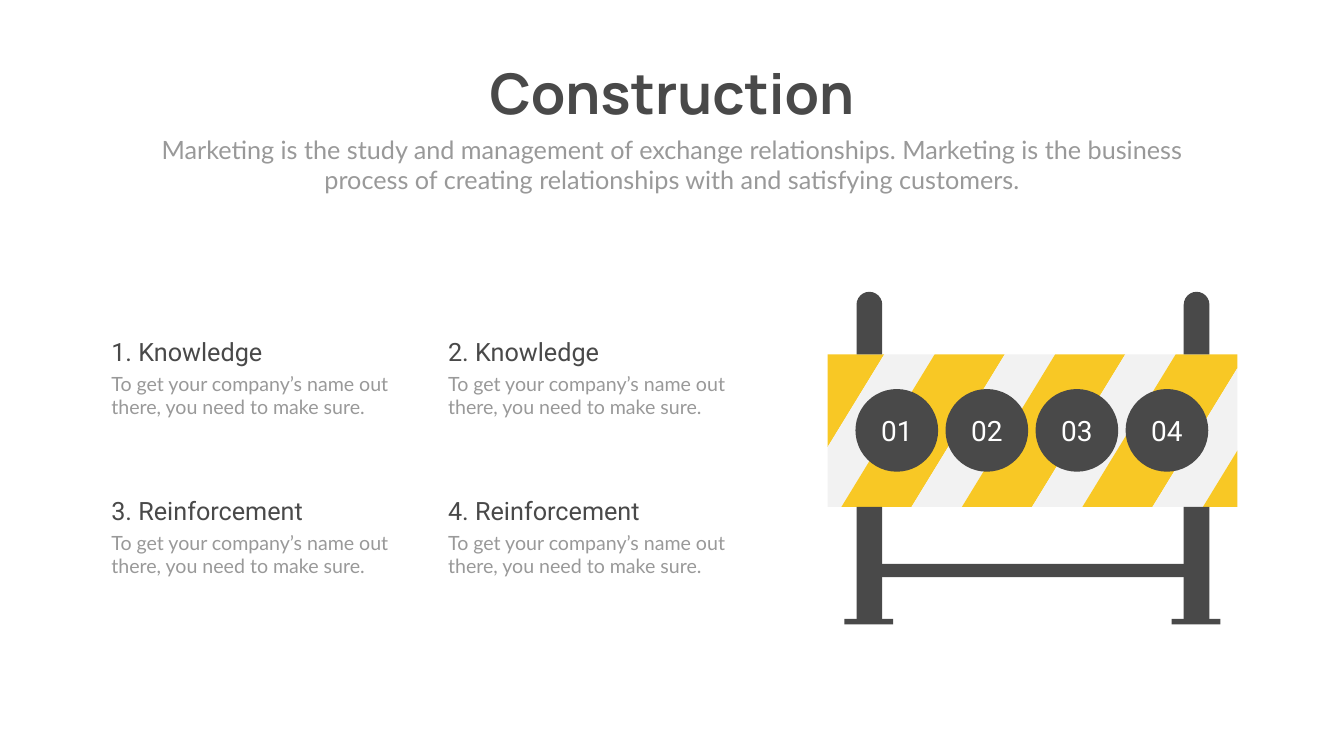
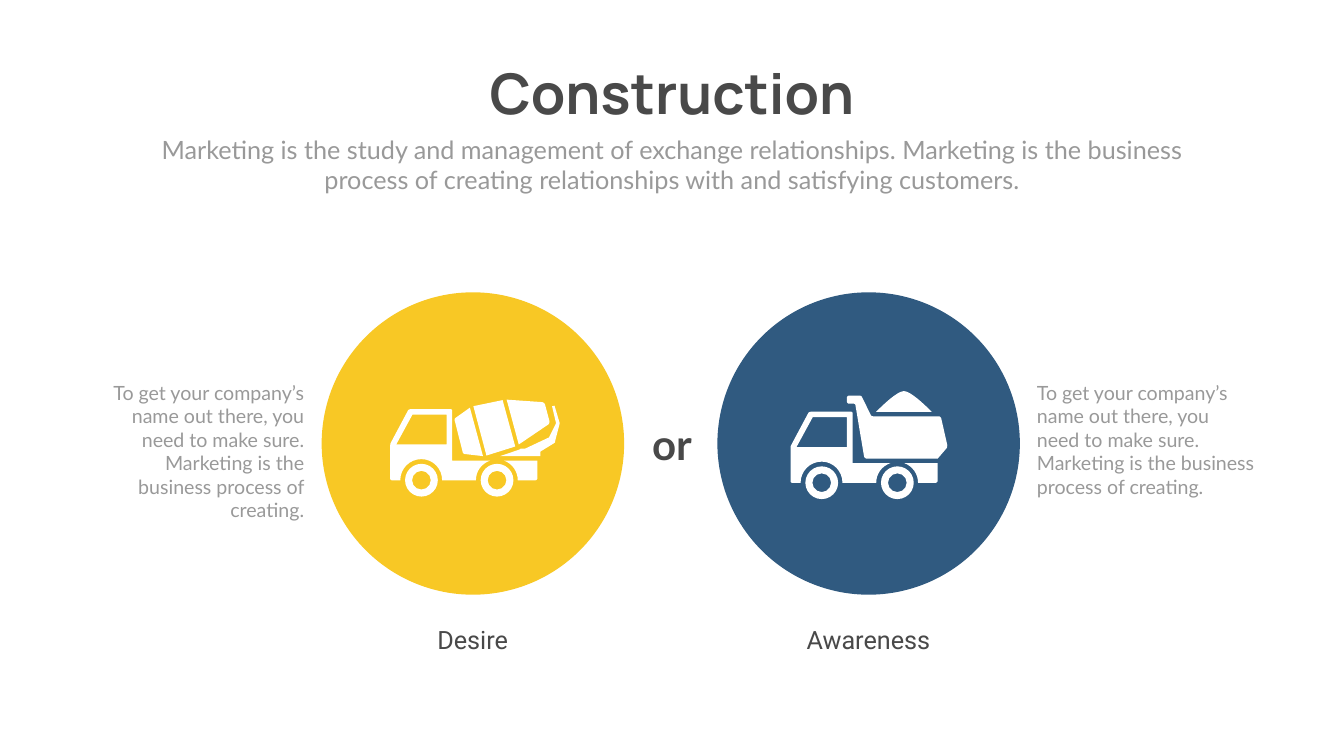
from dataclasses import dataclass

from pptx import Presentation
from pptx.dml.color import RGBColor
from pptx.enum.shapes import MSO_SHAPE
from pptx.enum.text import MSO_ANCHOR, MSO_AUTO_SIZE, PP_ALIGN
from pptx.util import Pt

LEFT, CENTER, RIGHT = PP_ALIGN.LEFT, PP_ALIGN.CENTER, PP_ALIGN.RIGHT
MIDDLE = MSO_ANCHOR.MIDDLE
FIT_TEXT = MSO_AUTO_SIZE.SHAPE_TO_FIT_TEXT
RECTANGLE, ELLIPSE, DONUT = MSO_SHAPE.RECTANGLE, MSO_SHAPE.OVAL, MSO_SHAPE.DONUT
ROUND_TOP = MSO_SHAPE.ROUND_2_SAME_RECTANGLE


@dataclass(frozen=True)
class Style:
    font: str
    size: int
    color: str
    bold: bool = False


@dataclass(frozen=True)
class Theme:
    dark: str = "494949"
    yellow: str = "F8C825"
    blue: str = "305A80"
    light: str = "F2F2F2"
    white: str = "FFFFFF"
    title: Style = Style("Manrope", 80, "494949", True)
    subtitle: Style = Style("Lato", 36, "999999")
    heading: Style = Style("Roboto", 36, "494949")
    body: Style = Style("Lato", 28, "999999")
    number: Style = Style("Roboto", 40, "FFFFFF")
    joiner: Style = Style("Lato", 60, "494949", True)


THEME = Theme()
SLIDE_WIDTH, SLIDE_HEIGHT = 1919.52, 1080

# Content
TITLE = "Construction"
SUBTITLE = ("Marketing is the study and management of exchange relationships. "
            "Marketing is the business process of creating relationships with "
            "and satisfying customers.")
CARD_TEXT = "To get your company’s name out there, you need to make sure."
CARDS = [  # heading, heading width
    ("1. Knowledge", 234.7), ("2. Knowledge", 234.7),
    ("3. Reinforcement", 346.3), ("4. Reinforcement", 355),
]
NUMBERS = ["01", "02", "03", "04"]
CHOICE_TEXT = CARD_TEXT + " Marketing is the business process of creating."
JOINER = "or"

# Truck outlines, relative to the top left corner of the cab.
# A pair is a straight step, six numbers are a cubic curve.
CAB = [
    (142.6, 73.4), (88.6, 73.4), (88.6, 2.2), (88.6, 0.7, 87.8, 0, 86.4, 0),
    (29.5, 0), (27.4, 0, 25.9, 0.7, 25.2, 2.2), (0.7, 48.2),
    (0, 49.7, 0, 51.8, 0, 53.3), (0, 98.6), (0, 100.1, 0.7, 101.5, 2.2, 101.5),
    (14.4, 101.5), (14.4, 85, 27.4, 71.3, 44.6, 71.3),
    (61.2, 71.3, 74.2, 85, 74.2, 101.5), (122.4, 101.5),
    (122.4, 88.6, 130.3, 77.8, 142.6, 73.4),
]
CAB_WINDOW = [(80.6, 50.4), (8.6, 50.4), (31.7, 7.9), (80.6, 7.9)]
REAR = [
    (182.2, 101.5), (207.4, 101.5), (208.8, 101.5, 210.2, 100.1, 210.2, 98.6),
    (210.2, 73.4), (162.7, 73.4), (174.2, 77.8, 182.2, 88.6, 182.2, 101.5),
]
WHEEL_LEFTS, WHEEL_TOP, WHEEL_SIZE, WHEEL_RIM = (21.2, 129.2), 78, 46.8, 0.215

DRUM_FRONT = [
    (103.7, 61.9), (104.4, 63.4, 105.8, 64.1, 107.3, 64.1), (132.5, 67),
    (113.8, -2.2), (93.6, 12.2), (92.2, 13, 91.4, 15.1, 92.2, 16.6),
]
DRUM_MIDDLE = [(137.5, 66.2), (178.6, 53.3), (160.6, -13), (118.8, -4.3)]
DRUM_BACK = [
    (226.1, 21.6), (226.8, 20.9, 227.5, 18.7, 227.5, 17.3), (221, -7.2),
    (220.3, -8.6, 218.9, -9.4, 217.4, -10.1), (166.3, -13.7), (183.6, 50.4),
]
CHUTE = [
    (241.9, 19.4), (234.7, -5), (231.1, -4.3), (236.9, 20.2), (226.8, 40.3),
    (193, 56.2), (186.5, 56.2), (185, 57.6, 182.9, 58.3, 180.7, 59), (157, 67),
    (214.6, 67), (214.6, 60.5), (233.3, 49), (235.4, 47.5), (235.4, 46.1),
    (241.9, 20.9),
]
DUMP_BED = [
    (223.9, 47.5), (215.3, 9.4), (214.6, 7.9, 213.1, 6.5, 211.7, 6.5),
    (118.1, 6.5), (116.6, 6.5, 115.2, 5.8, 114.5, 4.3), (102.2, -20.9),
    (101.5, -22.3, 100.1, -23, 98.6, -23), (83.5, -23),
    (82.1, -23, 80.6, -21.6, 80.6, -20.2), (80.6, -14.4),
    (80.6, -13, 82.1, -11.5, 83.5, -11.5), (90, -11.5),
    (91.4, -11.5, 92.9, -10.8, 92.9, -8.6), (105.1, 64.1),
    (105.8, 65.5, 107.3, 67, 108.7, 67), (210.2, 67), (222.5, 52.6),
    (223.9, 51.1, 223.9, 49, 223.9, 47.5),
]
SAND_HEAP = [
    (162, -29.5), (152.6, -29.5, 132.5, -10.1, 122.4, 0), (201.6, 0),
    (191.5, -10.1, 171.4, -29.5, 162, -29.5),
]

CHOICES = [
    dict(label="Desire", color=THEME.yellow, left=459.4, truck=(557.3, 584.6),
         load=[DRUM_MIDDLE, DRUM_FRONT, DRUM_BACK, CHUTE],
         text_left=121, text_width=320.4, align=RIGHT),
    dict(label="Awareness", color=THEME.blue, left=1024.6, truck=(1129, 588.2),
         load=[DUMP_BED, SAND_HEAP],
         text_left=1473.8, text_width=324.7, align=LEFT),
]


def write(frame, text, style, align):
    paragraph = frame.paragraphs[0]
    paragraph.text = text
    paragraph.alignment = align
    paragraph.font.name = style.font
    paragraph.font.size = Pt(style.size)
    paragraph.font.bold = style.bold
    paragraph.font.color.rgb = RGBColor.from_string(style.color)


def add_text(slide, box, text, style, align=LEFT, wrap=True):
    frame = slide.shapes.add_textbox(*map(Pt, box)).text_frame
    frame.word_wrap = wrap
    frame.auto_size = FIT_TEXT
    write(frame, text, style, align)


def paint(shape, color):
    shape.shadow.inherit = False
    shape.fill.solid()
    shape.fill.fore_color.rgb = RGBColor.from_string(color)
    shape.line.fill.background()


def add_preset(slide, kind, box, color):
    shape = slide.shapes.add_shape(kind, *map(Pt, box))
    paint(shape, color)
    return shape


def flatten(steps, segments=8):
    """Turn straight and curved steps into a list of points."""
    points = []
    for step in steps:
        if len(step) == 2:
            points.append(step)
            continue
        x0, y0 = points[-1]
        x1, y1, x2, y2, x3, y3 = step
        for index in range(1, segments + 1):
            t = index / segments
            a, b, c, d = (1 - t) ** 3, 3 * t * (1 - t) ** 2, 3 * t * t * (1 - t), t ** 3
            points.append((a * x0 + b * x1 + c * x2 + d * x3,
                           a * y0 + b * y1 + c * y2 + d * y3))
    return points


def add_outline(slide, contours, color, origin=(0, 0)):
    builder = None
    for contour in contours:
        points = [(Pt(x + origin[0]), Pt(y + origin[1])) for x, y in flatten(contour)]
        if builder is None:
            builder = slide.shapes.build_freeform(*points[0], scale=1.0)
        else:
            builder.move_to(*points[0])
        builder.add_line_segments(points[1:], close=True)
    paint(builder.convert_to_shape(), color)


def clip(points, limit, side):
    """Keep the part right (side 1) or left (side -1) of a vertical limit."""
    kept = []
    for (x0, y0), (x1, y1) in zip(points, points[1:] + points[:1]):
        inside, next_inside = (x0 - limit) * side >= 0, (x1 - limit) * side >= 0
        if inside:
            kept.append((x0, y0))
        if inside != next_inside:
            kept.append((limit, y0 + (y1 - y0) * (limit - x0) / (x1 - x0)))
    return kept


def add_barrier(slide):
    left, right, top, bottom = 1182.2, 1767.4, 506.3, 724.2
    slant, yellow_width, light_width = 133.2, 100.1, 72
    post_width, post_top, foot_top = 36.7, 416.9, 884.2

    edge = 1162.8
    widths = [(THEME.yellow, yellow_width), (THEME.light, light_width)] * 4
    for color, width in widths + [(THEME.yellow, yellow_width)]:
        stripe = [(edge, top), (edge + width, top),
                  (edge + width - slant, bottom), (edge - slant, bottom)]
        stripe = clip(clip(stripe, left, 1), right, -1)
        if stripe:
            add_outline(slide, [stripe], color)
        edge += width

    for post_left in (1223.3, 1690.6):
        cap = add_preset(slide, ROUND_TOP,
                         (post_left, post_top, post_width, top - post_top), THEME.dark)
        cap.adjustments[0] = 0.5
        add_preset(slide, RECTANGLE,
                   (post_left, bottom, post_width, foot_top - bottom), THEME.dark)
        add_preset(slide, RECTANGLE, (post_left - 17.3, foot_top, 69.8, 7.9), THEME.dark)
    add_preset(slide, RECTANGLE, (1248.5, 805.7, 451.1, 18.7), THEME.dark)

    for index, number in enumerate(NUMBERS):
        disc = add_preset(slide, ELLIPSE,
                          (1221.8 + index * 128.6, 555.8, 118.1, 118.1), THEME.dark)
        disc.text_frame.vertical_anchor = MIDDLE
        write(disc.text_frame, number, THEME.number, CENTER)


def add_truck(slide, origin, load):
    left, top = origin
    add_outline(slide, [CAB, CAB_WINDOW], THEME.white, origin)
    for part in [REAR] + load:
        add_outline(slide, [part], THEME.white, origin)
    for wheel_left in WHEEL_LEFTS:
        wheel = add_preset(slide, DONUT, (left + wheel_left, top + WHEEL_TOP,
                                          WHEEL_SIZE, WHEEL_SIZE), THEME.white)
        wheel.adjustments[0] = WHEEL_RIM


def add_titled_slide(presentation):
    slide = presentation.slides.add_slide(presentation.slide_layouts[6])
    add_text(slide, (679.7, 80.6, 560.2, 104.4), TITLE, THEME.title, CENTER, wrap=False)
    add_text(slide, (210.2, 187.9, 1499, 94.3), SUBTITLE, THEME.subtitle, CENTER)
    return slide


def build_barrier_slide(presentation):
    slide = add_titled_slide(presentation)
    add_barrier(slide)
    for index, (heading, heading_width) in enumerate(CARDS):
        row, column = divmod(index, 2)
        left, top = 151.9 + column * 481, 476.6 + row * 226.8
        add_text(slide, (left, top + 51.1, 421.2, 74.9), CARD_TEXT, THEME.body)
        add_text(slide, (left, top, heading_width, 51.1), heading, THEME.heading)


def build_choice_slide(presentation):
    slide = add_titled_slide(presentation)
    for choice in CHOICES:
        left = choice["left"]
        add_preset(slide, ELLIPSE, (left, 417.6, 432, 432), choice["color"])
        add_text(slide, (left + 36, 887.8, 359.3, 51.1), choice["label"],
                 THEME.heading, CENTER)
        add_text(slide, (choice["text_left"], 540, choice["text_width"], 177.1),
                 CHOICE_TEXT, THEME.body, choice["align"])
        add_truck(slide, choice["truck"], choice["load"])
    add_text(slide, (879.1, 594, 161.3, 79.9), JOINER, THEME.joiner, CENTER)


def main():
    presentation = Presentation()
    presentation.slide_width = Pt(SLIDE_WIDTH)
    presentation.slide_height = Pt(SLIDE_HEIGHT)
    build_barrier_slide(presentation)
    build_choice_slide(presentation)
    presentation.save("out.pptx")


if __name__ == "__main__":
    main()
